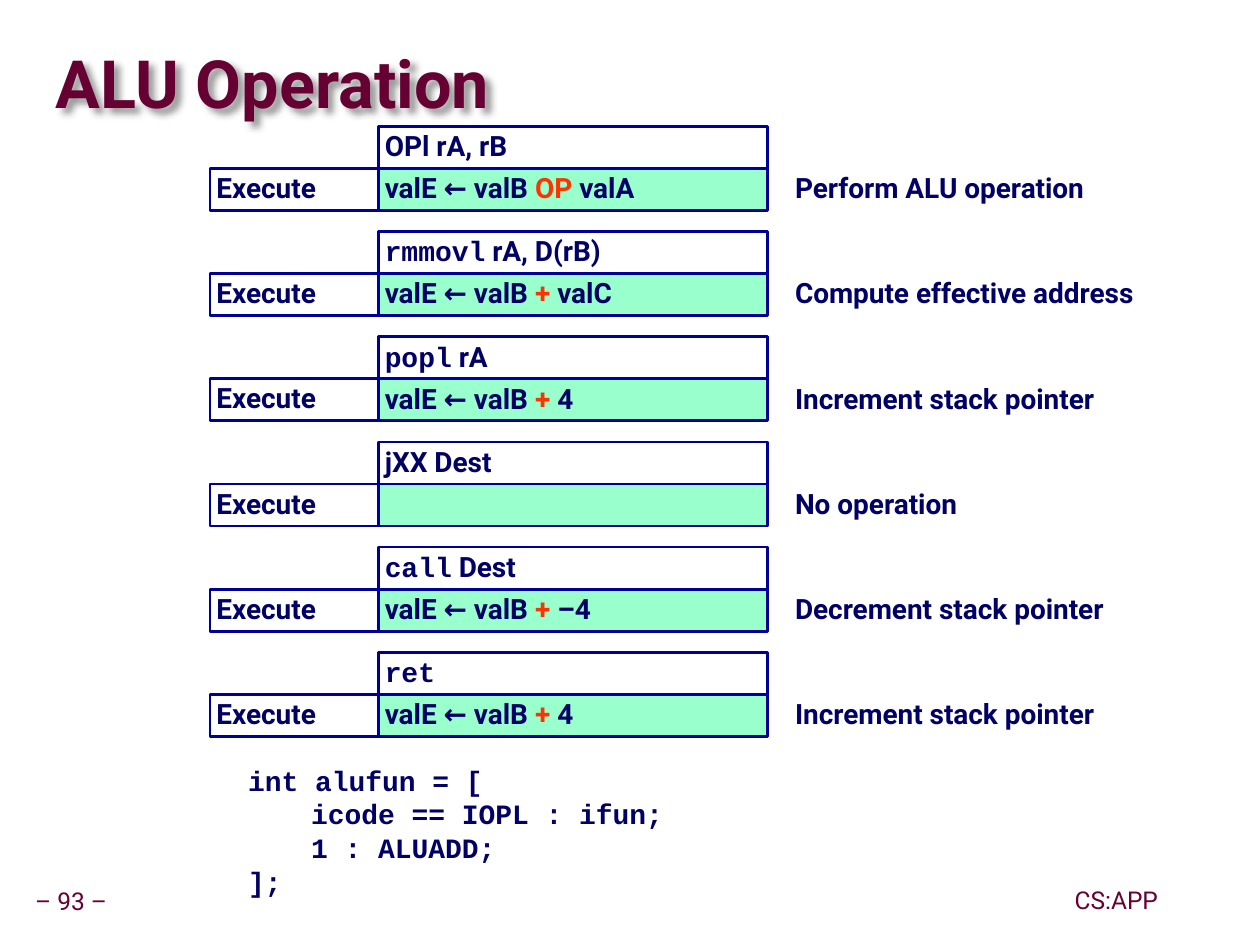
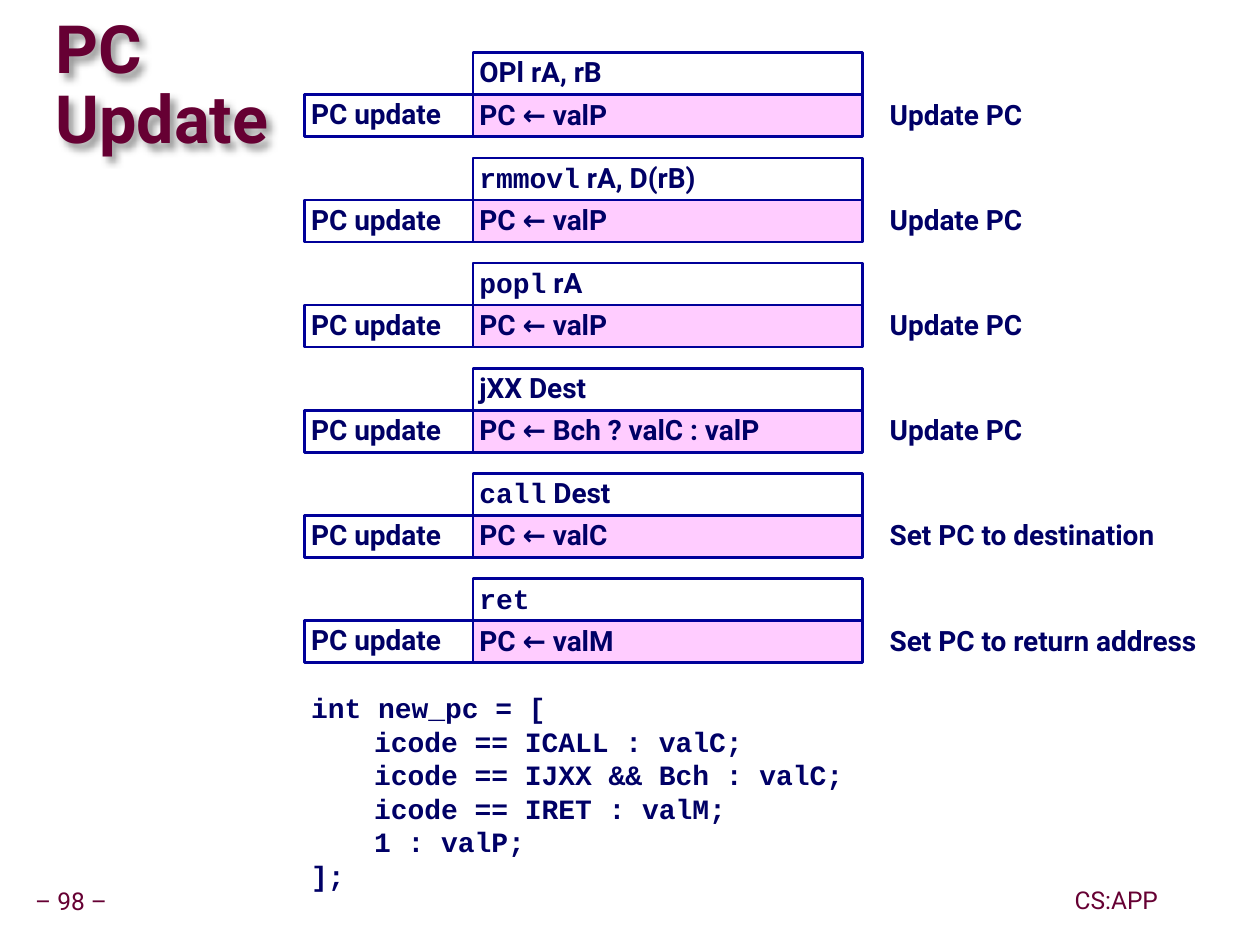
from dataclasses import dataclass
from typing import Any, NamedTuple

from lxml.etree import SubElement as Sub
from pptx import Presentation
from pptx.dml.color import RGBColor as Rgb
from pptx.enum.shapes import MSO_SHAPE as Kind
from pptx.enum.text import MSO_ANCHOR as Anchor, MSO_AUTO_SIZE as Fit, PP_ALIGN as Align
from pptx.oxml.ns import qn
from pptx.util import Pt


# Colours, fonts and type sizes
@dataclass(frozen=True)
class Theme:
    wine: str = "660033"
    navy: str = "000066"
    edge: str = "000099"
    hot: str = "FF3300"
    mint: str = "99FFCC"
    pink: str = "FFCCFF"
    sans: str = "Roboto"
    mono: str = "Courier New"
    title: int = 38
    body: int = 16
    foot: int = 14


THEME = Theme()


class Run(NamedTuple):
    text: str
    font: str = THEME.sans
    color: str = THEME.navy
    size: int = THEME.body
    bold: bool = True


class Box(NamedTuple):
    left: float
    top: float
    width: float
    height: float


class Step(NamedTuple):
    work: list[Run]
    note: str


@dataclass
class Page:
    title: str
    number: int
    stage: str
    fill: str
    left: float
    top: float
    steps: list[Step]
    code: list[str]
    spot: Box


# Row measures shared by both slides
ROW, PITCH, TAG, CELL, GAP, NOTE = 24.05, 60.12, 96.2, 222.4, 12, 214
PAD = 3.6
SLIM = 0.9


def mono(text: str) -> Run:
    return Run(text, THEME.mono)


def sum_of(word: str, last: str) -> list[Run]:
    return [Run("valE ← valB "), Run(word, color=THEME.hot), Run(f" {last}")]


def load_pc(value: str) -> list[Run]:
    return [Run(f"PC ← {value}")]


# Instructions, in the order of the rows
OPS: list[list[Run]] = [
    [Run("OPl rA, rB")],
    [mono("rmmovl"), Run(" rA, D(rB)")],
    [mono("popl"), Run(" rA")],
    [Run("jXX Dest")],
    [mono("call"), Run(" Dest")],
    [mono("ret")],
]

PAGES = [
    Page("ALU Operation", 93, "Execute", THEME.mint, 120.1, 72.2, [
        Step(sum_of("OP", "valA"), "Perform ALU operation"),
        Step(sum_of("+", "valC"), "Compute effective address"),
        Step(sum_of("+", "4"), "Increment stack pointer"),
        Step([], "No operation"),
        Step(sum_of("+", "–4"), "Decrement stack pointer"),
        Step(sum_of("+", "4"), "Increment stack pointer"),
    ], [
        "int alufun = [",
        "\ticode == IOPL : ifun;",
        "\t1 : ALUADD;",
        "];",
    ], Box(138.2, 432.7, 450.7, 84.2)),
    Page("PC\vUpdate", 98, "PC update", THEME.pink, 174.2, 30.1, [
        Step(load_pc("valP"), "Update PC"),
        Step(load_pc("valP"), "Update PC"),
        Step(load_pc("valP"), "Update PC"),
        Step(load_pc("Bch ? valC : valP"), "Update PC"),
        Step(load_pc("valC"), "Set PC to destination"),
        Step(load_pc("valM"), "Set PC to return address"),
    ], [
        "int new_pc = [",
        "\ticode == ICALL : valC;",
        "\ticode == IJXX && Bch : valC;",
        "\ticode == IRET : valM;",
        "\t1 : valP;",
        "];",
    ], Box(174.2, 391, 420.5, 123)),
]


def put(item: Any, values: dict[str, Any]) -> None:
    for name, value in values.items():
        setattr(item, name, value)


def frame(shape: Any, pad: float, anchor: Any, wrap: bool = True) -> None:
    sides = {f"margin_{side}": Pt(pad) for side in ("left", "top", "right", "bottom")}
    put(shape.text_frame, sides | {
        "auto_size": Fit.NONE, "vertical_anchor": anchor, "word_wrap": wrap})


def style(font: Any, run: Run) -> None:
    put(font, {"name": run.font, "size": Pt(run.size), "bold": run.bold})
    font.color.rgb = Rgb.from_string(run.color)


def write(shape: Any, lines: list[list[Run]], space: float = SLIM,
          align: Any = Align.LEFT) -> None:
    text = shape.text_frame
    for index, runs in enumerate(lines):
        para = text.add_paragraph() if index else text.paragraphs[0]
        put(para, {"alignment": align, "line_spacing": space, "space_before": Pt(0)})
        for run in runs:
            part = para.add_run()
            part.text = run.text
            style(part.font, run)


def label(slide: Any, box: Box, lines: list[list[Run]], anchor: Any = Anchor.TOP,
          space: float = SLIM, align: Any = Align.LEFT, wrap: bool = True) -> None:
    shape = slide.shapes.add_textbox(*map(Pt, box))
    frame(shape, PAD, anchor, wrap)
    write(shape, lines, space, align)


def cell(slide: Any, box: Box, runs: list[Run], fill: str = "",
         anchor: Any = Anchor.TOP) -> None:
    shape = slide.shapes.add_shape(Kind.RECTANGLE, *map(Pt, box))
    shape.shadow.inherit = False
    if fill:
        shape.fill.solid()
        shape.fill.fore_color.rgb = Rgb.from_string(fill)
    else:
        shape.fill.background()
    shape.line.color.rgb = Rgb.from_string(THEME.edge)
    shape.line.width = Pt(1.5)
    frame(shape, PAD, anchor)
    write(shape, [runs])


# Soft shadow down and to the right of the title text
def shade(shape: Any) -> None:
    effects = Sub(shape.element.spPr, qn("a:effectLst"))
    shadow = Sub(effects, qn("a:outerShdw"), blurRad=str(Pt(4)), dist=str(Pt(4)),
                 dir="2700000", algn="tl", rotWithShape="0")
    color = Sub(shadow, qn("a:srgbClr"), val="000000")
    Sub(color, qn("a:alpha"), val="40000")


def head(slide: Any, text: str) -> None:
    shape = slide.shapes.title
    put(shape, {"left": Pt(31.7), "top": Pt(19.4), "width": Pt(686), "height": Pt(61.2)})
    frame(shape, 0, Anchor.MIDDLE)
    shape.text_frame.text = text
    para = shape.text_frame.paragraphs[0]
    put(para, {"alignment": Align.LEFT, "line_spacing": 0.87, "space_before": Pt(0)})
    for part in para.runs:
        style(part.font, Run(part.text, color=THEME.wine, size=THEME.title))
    shade(shape)


def foot(slide: Any, number: int) -> None:
    for text, box in ((f"– {number} –", Box(16.6, 504, 48.2, 23)),
                      ("CS:APP", Box(608.4, 503.5, 59, 23))):
        run = Run(text, color=THEME.wine, size=THEME.foot, bold=False)
        label(slide, box, [[run]], Anchor.MIDDLE, align=Align.CENTER, wrap=False)


def build(deck: Any, page: Page) -> None:
    slide = deck.slides.add_slide(deck.slide_layouts[5])
    head(slide, page.title)
    foot(slide, page.number)
    # One block a step: instruction above, then stage, work and note
    mid = page.left + TAG
    for index, (op, step) in enumerate(zip(OPS, page.steps)):
        top = page.top + index * PITCH
        low = top + ROW
        cell(slide, Box(mid, top, CELL, ROW), op)
        cell(slide, Box(page.left, low, TAG, ROW), [Run(page.stage)], anchor=Anchor.MIDDLE)
        cell(slide, Box(mid, low, CELL, ROW), step.work, page.fill)
        label(slide, Box(mid + CELL + GAP, low, NOTE, ROW), [[Run(step.note)]])
    # Control logic under the rows
    label(slide, page.spot, [[mono(line)] for line in page.code], space=1.0)


def main() -> None:
    deck = Presentation()
    put(deck, {"slide_width": Pt(720), "slide_height": Pt(540)})
    for page in PAGES:
        build(deck, page)
    deck.save("out.pptx")


if __name__ == "__main__":
    main()
